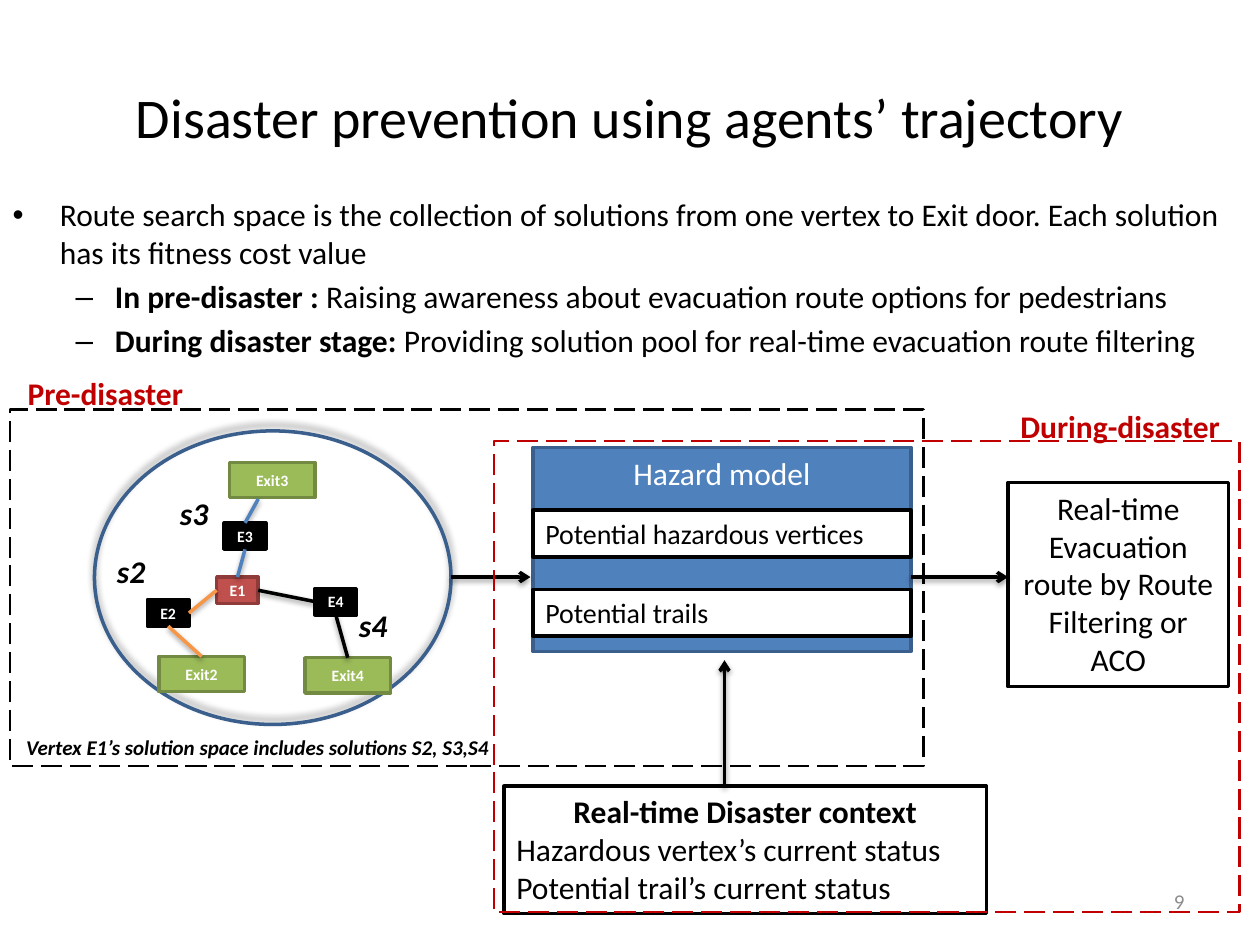
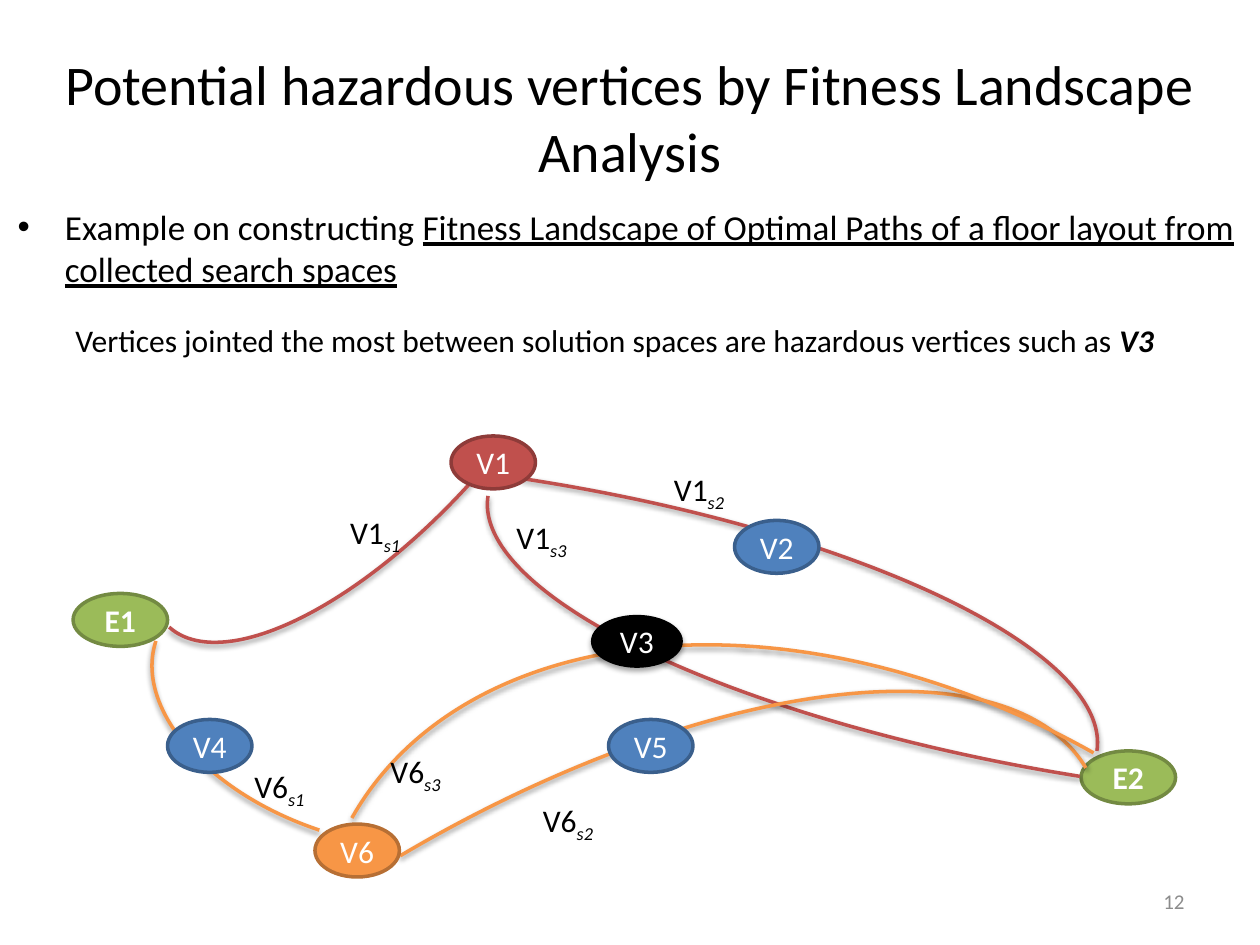
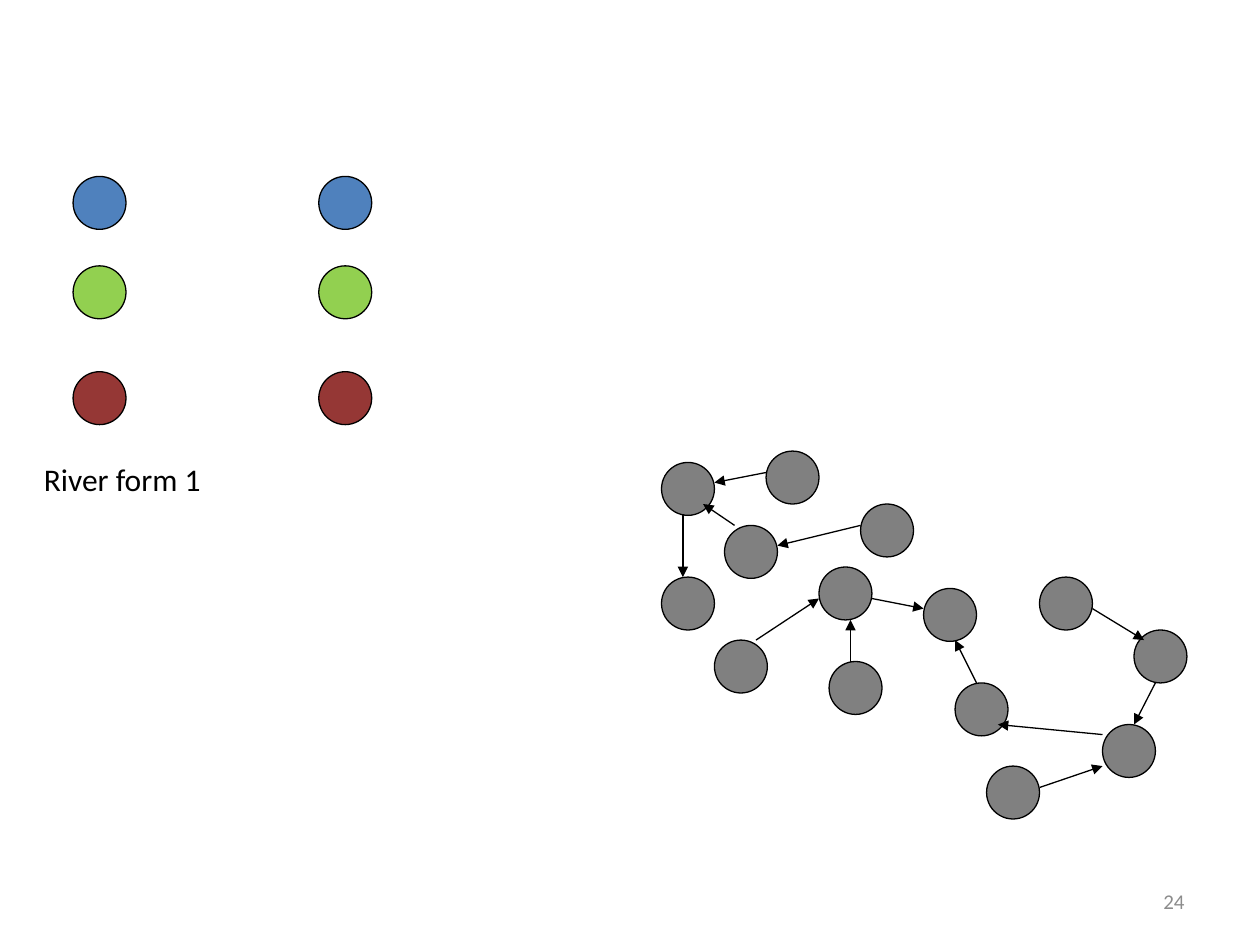
"""Build three slides on hazardous vertices and evacuation routes."""
from lxml import etree
from pptx import Presentation
from pptx.dml.color import RGBColor
from pptx.enum.dml import MSO_LINE
from pptx.enum.shapes import MSO_CONNECTOR, MSO_SHAPE
from pptx.enum.text import MSO_ANCHOR, MSO_AUTO_SIZE, PP_ALIGN
from pptx.oxml.ns import qn
from pptx.util import Inches, Pt

RECT, OVAL, ARC = MSO_SHAPE.RECTANGLE, MSO_SHAPE.OVAL, MSO_SHAPE.ARC
STRAIGHT, LONG_DASH = MSO_CONNECTOR.STRAIGHT, MSO_LINE.LONG_DASH
LEFT, CENTER, RIGHT = PP_ALIGN.LEFT, PP_ALIGN.CENTER, PP_ALIGN.RIGHT
TOP, MIDDLE = MSO_ANCHOR.TOP, MSO_ANCHOR.MIDDLE
NO_FIT = MSO_AUTO_SIZE.NONE
LAYOUT_CONTENT, LAYOUT_BLANK = 1, 6
SIDE_TOP, SIDE_LEFT, SIDE_BOTTOM, SIDE_RIGHT = range(4)

FONT = "Calibri"
BLACK, WHITE, GRAY, NUMBER_GRAY = "000000", "FFFFFF", "808080", "8C8C8C"
BLUE, RED, GREEN, ORANGE, CRIMSON = "4F81BD", "C0504D", "9BBB59", "F79646", "C00000"
EDGE = {BLUE: "3A5F8C", RED: "8E3B39", GREEN: "738A42", ORANGE: "B76F34", BLACK: BLACK}
LINE_SHADOW = (38, 3.1, 1.6, 90)
NODE_SHADOW = (35, 3.1, 1.8, 90)
SPACE_SHADOW = (40, 4, 3, 270)

TITLE_BOX = (0, 0.3, 10, 1.25)
NUMBER_BOX = (7.17, 6.95, 2.33, 0.4)

TRAJECTORY = {
    "title": "Disaster prevention using agents’ trajectory",
    "number": "9",
    "body": [
        (0, [("Route search space is the collection of solutions from one vertex to Exit door. "
              "Each solution has its fitness cost value", "")]),
        (1, [("In pre-disaster :", "b"),
             (" Raising awareness about evacuation route options for pedestrians", "")]),
        (1, [("During disaster stage: ", "b"),
             ("Providing solution pool for real-time evacuation route filtering", "")]),
    ],
}
VERTEX_SIZE, EXIT_SIZE = (0.33, 0.21), (0.68, 0.28)
GRAPH_NODES = {
    "E1": (1.72, 4.58, VERTEX_SIZE, RED),
    "E2": (1.17, 4.76, VERTEX_SIZE, BLACK),
    "E3": (1.78, 4.15, VERTEX_SIZE, BLACK),
    "E4": (2.5, 4.67, VERTEX_SIZE, BLACK),
    "Exit2": (1.26, 5.21, EXIT_SIZE, GREEN),
    "Exit3": (1.82, 3.67, EXIT_SIZE, GREEN),
    "Exit4": (2.42, 5.22, EXIT_SIZE, GREEN),
}
EXIT3_DOOR = (2.05, 3.96)
GRAPH_EDGES = [
    ("E1", SIDE_RIGHT, "E4", SIDE_LEFT, BLACK),
    ("Exit4", SIDE_TOP, "E4", SIDE_BOTTOM, BLACK),
    ("E3", SIDE_BOTTOM, "E1", SIDE_TOP, BLUE),
    ("E1", SIDE_LEFT, "E2", SIDE_RIGHT, ORANGE),
    ("Exit2", SIDE_TOP, "E2", SIDE_BOTTOM, ORANGE),
]
SOLUTION_LABELS = [("s2", 0.83, 4.33), ("s3", 1.33, 3.87), ("s4", 2.75, 4.76)]
FLOW_ARROWS = [((3.58, 4.58), (4.21, 4.58)), ((5.75, 6.24), (5.75, 5.24)),
               ((7.23, 4.58), (8, 4.58))]
HAZARD_PARTS = [("Potential hazardous vertices", 4.05), ("Potential trails", 4.68)]
CONTEXT = ["Real-time Disaster context", "Hazardous vertex’s current status",
           "Potential trail’s current status"]
STAGES = [
    ("Pre-disaster", (0.12, 2.92, 2.38, 0.4), (0.08, 3.25, 7.25, 2.83), BLACK),
    ("During-disaster", (8, 3.18, 1.83, 0.4), (3.92, 3.5, 5.92, 3.74), CRIMSON),
]

LANDSCAPE = {
    "title": "Potential hazardous vertices by Fitness Landscape Analysis",
    "number": "12",
    "body": [(0, [("Example on constructing ", ""),
                  ("Fitness Landscape of Optimal Paths of a floor layout "
                   "from collected search spaces", "u")])],
}
FINDING = [("Vertices jointed the most between solution spaces are hazardous vertices such as ", ""),
           ("V3", "bi")]
EXITS = [("E1", 0.58, 4.71), ("E2", 8.58, 5.96)]
PATHS = [
    ((0.52, 2.12, 4.95, 2.03), 131.9, RED),
    ((3.81, 3.27, 9.98, 2.91), 189.1, RED),
    ((-0.93, 3.78, 9.69, 2.91), 8.6, RED),
    ((1.15, 4.61, 3.41, 2.03), 198.4, ORANGE),
    ((-0.76, 6.49, 10.08, 4.34), 329.4, ORANGE),
    ((3.7, 4.01, 6.68, 9.75), 299.4, ORANGE),
]
VERTICES = [("V6", 2.5, 6.54, ORANGE), ("V2", 5.83, 4.13, BLUE), ("V4", 1.33, 5.71, BLUE),
            ("V5", 4.83, 5.71, BLUE), ("V1", 3.58, 3.46, RED)]
PATH_LABELS = [("V1", "s2", 5.25, 3.68), ("V1", "s1", 2.68, 4.02), ("V6", "s1", 1.92, 6.04),
               ("V1", "s3", 4, 4.06), ("V6", "s2", 4.21, 6.31), ("V6", "s3", 3, 5.92)]

RIVER_NUMBER = "24"
DOT = 0.42
RIVER_DOTS = [(5.25, 3.67), (5.75, 4.17), (6.08, 3.58), (5.25, 4.58), (6.83, 4), (6.58, 5.25),
              (5.67, 5.08), (7.33, 4.67), (6.5, 4.5), (8.25, 4.58), (7.58, 5.42), (9, 5),
              (8.75, 5.75), (7.83, 6.08)]
RIVER_FLOWS = [
    ((5.42, 4.08), (5.42, 4.58)), ((6.75, 5.25), (6.75, 4.92)), ((6, 5.08), (6.5, 4.75)),
    ((5.83, 4.17), (5.58, 4)), ((6.08, 3.75), (5.67, 3.83)), ((6.83, 4.17), (6.17, 4.33)),
    ((6.92, 4.75), (7.33, 4.83)), ((8.67, 4.83), (9.08, 5.08)), ((9.17, 5.42), (9, 5.75)),
    ((8.75, 5.83), (7.92, 5.75)), ((8.25, 6.25), (8.75, 6.08)), ((7.75, 5.42), (7.58, 5.08)),
]
LEGEND_COLUMNS = (0.58, 2.53)
LEGEND_ROWS = [(1.4, BLUE), (2.11, "92D050"), (2.95, "953735")]


def rgb(color):
    """Turn a hex string into a colour."""
    return RGBColor.from_string(color)


def box(at):
    """Turn inches into lengths."""
    return [Inches(v) for v in at]


def set_effects(sp, shadow=None):
    """Replace the theme shadow by the given one, or by none."""
    effects = etree.SubElement(sp._element.spPr, qn("a:effectLst"))
    if shadow:
        alpha, blur, dist, angle = shadow
        outer = etree.SubElement(effects, qn("a:outerShdw"), blurRad=str(Pt(blur)),
                                 dist=str(Pt(dist)), dir=str(angle * 60000), rotWithShape="0")
        clr = etree.SubElement(outer, qn("a:srgbClr"), val=BLACK)
        etree.SubElement(clr, qn("a:alpha"), val=str(alpha * 1000))


def write(tf, paragraphs, size=18, color=BLACK, align=LEFT, anchor=TOP, wrap=True):
    """Write paragraphs of (text, style) runs; styles are b, i, u and _ for subscript."""
    tf.word_wrap, tf.vertical_anchor, tf.auto_size = wrap, anchor, NO_FIT
    for i, runs in enumerate(paragraphs):
        p = tf.add_paragraph() if i else tf.paragraphs[0]
        if align is not None:
            p.alignment = align
        for text, style in runs:
            r = p.add_run()
            r.text = text
            r.font.name, r.font.size = FONT, Pt(size)
            r.font.color.rgb = rgb(color)
            r.font.bold, r.font.italic = "b" in style, "i" in style
            r.font.underline = "u" in style
            if "_" in style:
                r._r.get_or_add_rPr().set("baseline", "-25000")


def add_text(s, at, runs, **text):
    """Add a text box of one paragraph."""
    tb = s.shapes.add_textbox(*box(at))
    write(tb.text_frame, [runs], **text)
    return tb


def add_shape(s, kind, at, fill=None, line=None, width=2, shadow=None):
    """Add a preset shape with its fill, outline and shadow."""
    sp = s.shapes.add_shape(kind, *box(at))
    if fill:
        sp.fill.solid()
        sp.fill.fore_color.rgb = rgb(fill)
    else:
        sp.fill.background()
    if line:
        sp.line.color.rgb = rgb(line)
        sp.line.width = Pt(width)
    else:
        sp.line.fill.background()
    set_effects(sp, shadow)
    return sp


def add_node(s, kind, at, label, fill, size=18, style="", line=None, shadow=None):
    """Add a labelled graph node."""
    sp = add_shape(s, kind, at, fill, line, shadow=shadow)
    write(sp.text_frame, [[(label, style)]], size, WHITE, CENTER, MIDDLE, wrap=False)
    return sp


def add_line(s, start, end, color=BLACK, width=2, head=None, shadow=LINE_SHADOW):
    """Add a straight connector, with an arrowhead at its end if asked."""
    c = s.shapes.add_connector(STRAIGHT, *box(start + end))
    c.line.color.rgb = rgb(color)
    c.line.width = Pt(width)
    if head:
        etree.SubElement(c.line._get_or_add_ln(), qn("a:tailEnd"), type=head)
    set_effects(c, shadow)
    return c


def add_number(s, number):
    """Add the slide number."""
    add_text(s, NUMBER_BOX, [(number, "")], size=12, color=NUMBER_GRAY, align=RIGHT, anchor=MIDDLE)


def add_content_slide(prs, content, body_at, body_size):
    """Add a slide with title, bullets and number."""
    s = prs.slides.add_slide(prs.slide_layouts[LAYOUT_CONTENT])
    title, body = s.shapes.title, s.placeholders[1]
    for sp, at in ((title, TITLE_BOX), (body, body_at)):
        sp.left, sp.top, sp.width, sp.height = box(at)
    write(title.text_frame, [[(content["title"], "")]], 32, align=CENTER, anchor=MIDDLE)
    write(body.text_frame, [runs for _, runs in content["body"]], body_size, align=None)
    for p, (level, _) in zip(body.text_frame.paragraphs, content["body"]):
        p.level = level
    add_number(s, content["number"])
    return s


def add_solution_graph(s):
    """Draw the solution space of vertex E1."""
    add_shape(s, OVAL, (0.75, 3.42, 2.83, 2.33), line=EDGE[BLUE], shadow=SPACE_SHADOW)
    nodes = {name: add_node(s, RECT, (x, y) + size, name, fill, 9, "b", EDGE[fill])
             for name, (x, y, size, fill) in GRAPH_NODES.items()}
    for a, side_a, b, side_b, color in GRAPH_EDGES:
        c = add_line(s, (0, 0), (1, 1), color)
        c.begin_connect(nodes[a], side_a)
        c.end_connect(nodes[b], side_b)
    c = add_line(s, EXIT3_DOOR, (1.94, 4.15), BLUE)
    c.end_connect(nodes["E3"], SIDE_TOP)
    for label, x, y in SOLUTION_LABELS:
        add_text(s, (x, y, 0.75, 0.4), [(label, "bi")])


def build_trajectory(prs):
    """Build the slide on pre-disaster and during-disaster stages."""
    s = add_content_slide(prs, TRAJECTORY, (0, 1.5, 10, 1.42), 18)
    add_solution_graph(s)
    sp = add_shape(s, RECT, (4.23, 3.55, 3, 1.62), BLUE, EDGE[BLUE])
    write(sp.text_frame, [[("Hazard model", "")]], color=WHITE, align=CENTER)
    for text, y in HAZARD_PARTS:
        sp = add_shape(s, RECT, (4.23, y, 3, 0.37), WHITE, BLACK)
        write(sp.text_frame, [[(text, "")]], 16)
    sp = add_shape(s, RECT, (4, 6.24, 3.83, 1.01), WHITE, BLACK)
    write(sp.text_frame, [[(text, "" if i else "b")] for i, text in enumerate(CONTEXT)])
    sp.text_frame.paragraphs[0].alignment = CENTER
    sp = add_shape(s, RECT, (8, 3.83, 1.75, 1.62), WHITE, BLACK)
    write(sp.text_frame, [[("Real-time Evacuation route by Route Filtering or ACO", "")]],
          align=CENTER)
    for start, end in FLOW_ARROWS:
        add_line(s, start, end, head="arrow")
    sp = add_shape(s, RECT, (-0.33, 5.78, 4.75, 0.3), WHITE)
    write(sp.text_frame, [[("Vertex E1’s solution space includes solutions S2, S3,S4", "bi")]],
          12, align=CENTER)
    for label, label_at, frame_at, color in STAGES:
        frame = add_shape(s, RECT, frame_at, line=color, width=1.5)
        frame.line.dash_style = LONG_DASH
        add_text(s, label_at, [(label, "b")], color=CRIMSON)


def build_landscape(prs):
    """Build the slide on the fitness landscape of optimal paths."""
    s = add_content_slide(prs, LANDSCAPE, (0.04, 1.58, 9.92, 1.08), 20)
    for name, x, y in EXITS:
        add_node(s, OVAL, (x, y, 0.75, 0.42), name, GREEN, style="b", line=EDGE[GREEN])
    for at, angle, color in PATHS:
        add_shape(s, ARC, at, line=color, shadow=LINE_SHADOW).rotation = angle
    for name, x, y, fill in VERTICES:
        add_node(s, OVAL, (x, y, 0.67, 0.42), name, fill, line=EDGE[fill])
    add_node(s, OVAL, (4.69, 4.88, 0.73, 0.42), "V3", BLACK, shadow=NODE_SHADOW)
    for vertex, solution, x, y in PATH_LABELS:
        add_text(s, (x, y, 0.62, 0.4), [(vertex, ""), (solution, "i_")], wrap=False)
    tb = add_text(s, (0, 2.5, 10, 0.4), FINDING)
    tb.text_frame.paragraphs[0]._p.get_or_add_pPr().set("marL", str(Inches(0.5)))


def build_river(prs):
    """Build the slide on the river form."""
    s = prs.slides.add_slide(prs.slide_layouts[LAYOUT_BLANK])
    add_number(s, RIVER_NUMBER)
    legend = [(x, y, color) for x in LEGEND_COLUMNS for y, color in LEGEND_ROWS]
    for x, y, color in [(x, y, GRAY) for x, y in RIVER_DOTS] + legend:
        add_shape(s, OVAL, (x, y, DOT, DOT), color, BLACK, 0.75)
    for start, end in RIVER_FLOWS:
        add_line(s, start, end, width=0.75, head="triangle", shadow=None)
    add_text(s, (0.25, 3.6, 2.67, 0.4), [("River form 1", "")])


def main():
    """Build and save the presentation."""
    prs = Presentation()
    prs.slide_width, prs.slide_height = Inches(10), Inches(7.5)
    build_trajectory(prs)
    build_landscape(prs)
    build_river(prs)
    prs.save("out.pptx")


if __name__ == "__main__":
    main()
